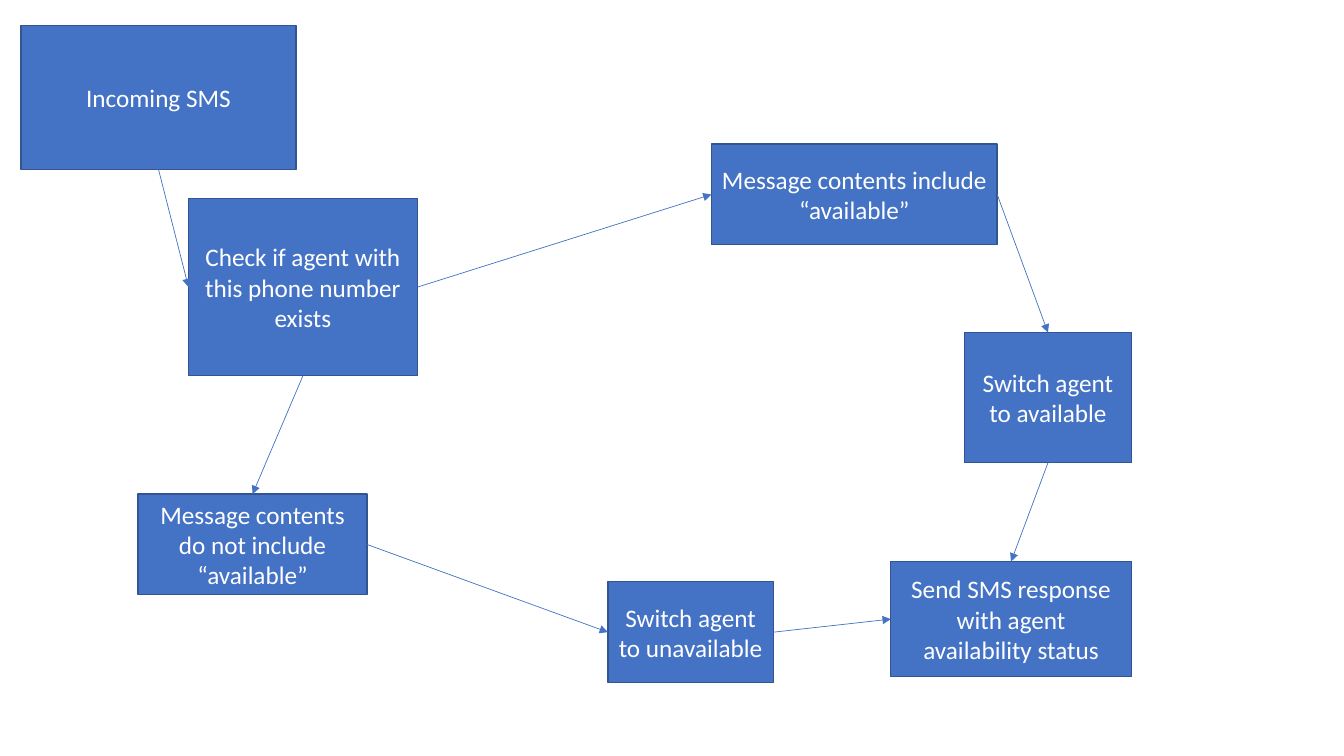
from dataclasses import dataclass

from lxml import etree
from pptx import Presentation
from pptx.dml.color import RGBColor
from pptx.enum.shapes import MSO_CONNECTOR, MSO_SHAPE
from pptx.enum.text import MSO_ANCHOR, PP_ALIGN
from pptx.oxml.ns import qn
from pptx.util import Cm, Pt

RECTANGLE = MSO_SHAPE.RECTANGLE
STRAIGHT = MSO_CONNECTOR.STRAIGHT
MIDDLE = MSO_ANCHOR.MIDDLE
CENTER = PP_ALIGN.CENTER
TOP, LEFT, BOTTOM, RIGHT = range(4)
BLANK_LAYOUT = 6


@dataclass(frozen=True)
class Theme:
    fill: RGBColor = RGBColor(0x44, 0x72, 0xC4)
    border: RGBColor = RGBColor(0x32, 0x54, 0x91)
    text: RGBColor = RGBColor(0xFF, 0xFF, 0xFF)
    font: str = "Calibri"
    text_size: Pt = Pt(18)
    border_width: Pt = Pt(1)
    arrow_width: Pt = Pt(0.5)


THEME = Theme()

# step: (text, left, top, width, height), lengths in centimetres
STEPS = {
    "incoming": ("Incoming SMS", 0.53, 0.64, 6.93, 3.63),
    "include": ("Message contents include “available”", 17.93, 3.63, 7.2, 2.54),
    "not include": ("Message contents do not include “available”", 3.48, 12.45, 5.77, 2.54),
    "available": ("Switch agent to available", 24.31, 8.38, 4.2, 3.28),
    "unavailable": ("Switch agent to unavailable", 15.32, 14.66, 4.17, 2.54),
    "respond": ("Send SMS response with agent availability status", 22.45, 14.15, 6.06, 2.9),
    "check": ("Check if agent with this phone number exists", 4.75, 5, 5.77, 4.47),
}

# (from step, side, to step, side)
ARROWS = [
    ("incoming", BOTTOM, "check", LEFT),
    ("check", RIGHT, "include", LEFT),
    ("check", BOTTOM, "not include", TOP),
    ("include", RIGHT, "available", TOP),
    ("available", BOTTOM, "respond", TOP),
    ("not include", RIGHT, "unavailable", LEFT),
    ("unavailable", RIGHT, "respond", LEFT),
]


def add_step(slide, text, *box):
    shape = slide.shapes.add_shape(RECTANGLE, *map(Cm, box))
    shape.shadow.inherit = False
    shape.fill.solid()
    shape.fill.fore_color.rgb = THEME.fill
    shape.line.color.rgb = THEME.border
    shape.line.width = THEME.border_width
    frame = shape.text_frame
    frame.word_wrap = True
    frame.vertical_anchor = MIDDLE
    frame.text = text
    paragraph = frame.paragraphs[0]
    paragraph.alignment = CENTER
    paragraph.font.name = THEME.font
    paragraph.font.size = THEME.text_size
    paragraph.font.color.rgb = THEME.text
    return shape


def add_arrow(slide, start, start_side, end, end_side):
    connector = slide.shapes.add_connector(STRAIGHT, 0, 0, 0, 0)
    connector.begin_connect(start, start_side)
    connector.end_connect(end, end_side)
    connector.line.color.rgb = THEME.fill
    connector.line.width = THEME.arrow_width
    properties = connector.element.spPr
    etree.SubElement(properties.find(qn("a:ln")), qn("a:tailEnd"), type="triangle")
    etree.SubElement(properties, qn("a:effectLst"))


def main():
    presentation = Presentation()
    presentation.slide_width = Cm(33.87)
    presentation.slide_height = Cm(19.05)
    slide = presentation.slides.add_slide(presentation.slide_layouts[BLANK_LAYOUT])
    shapes = {name: add_step(slide, *step) for name, step in STEPS.items()}
    for start, start_side, end, end_side in ARROWS:
        add_arrow(slide, shapes[start], start_side, shapes[end], end_side)
    presentation.save("out.pptx")


if __name__ == "__main__":
    main()
